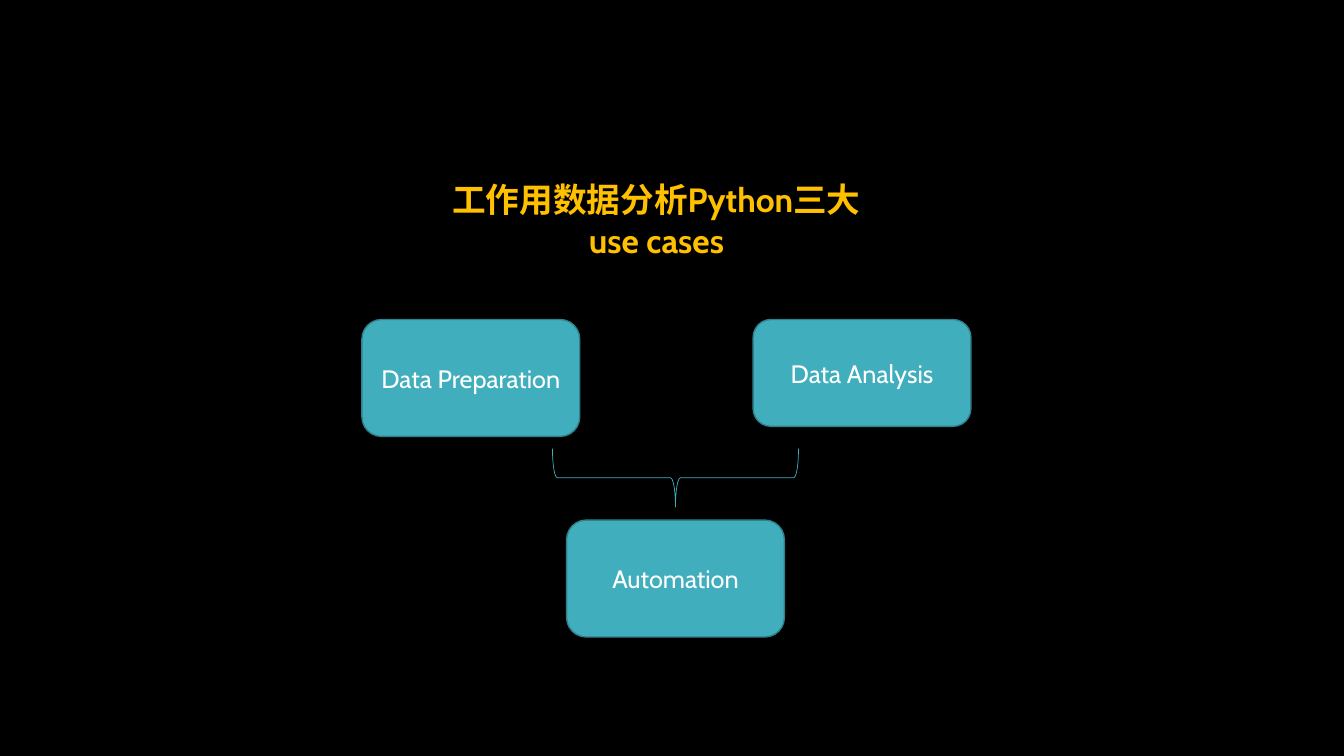
from pptx import Presentation
from pptx.dml.color import RGBColor
from pptx.enum.shapes import MSO_SHAPE
from pptx.enum.text import MSO_ANCHOR, MSO_AUTO_SIZE, PP_ALIGN
from pptx.util import Inches, Pt

TEAL = "41AEBD"


def color(value):
    return RGBColor.from_string(value)


def write(tf, text, hex_color, font):
    tf.word_wrap = True
    p = tf.paragraphs[0]
    p.alignment = PP_ALIGN.CENTER
    r = p.add_run()
    r.text = text
    r.font.color.rgb = color(hex_color)
    for name, value in font.items():
        setattr(r.font, name, value)


prs = Presentation()
prs.slide_width = Inches(13.33)
prs.slide_height = Inches(7.5)
s = prs.slides.add_slide(prs.slide_layouts[6])
s.background.fill.solid()
s.background.fill.fore_color.rgb = color("000000")

title = s.shapes.add_textbox(Inches(4.17), Inches(1.73), Inches(4.68), Inches(0.91))
write(title.text_frame, "工作用数据分析Python三大use cases", "FFC000",
      {"name": "Cabin", "size": Pt(24), "bold": True})
title.text_frame.auto_size = MSO_AUTO_SIZE.SHAPE_TO_FIT_TEXT

use_cases = [
    ("Data Preparation", 3.59, 3.17, 1.16),
    ("Data Analysis", 7.47, 3.17, 1.06),
    ("Automation", 5.62, 5.16, 1.16),
]
for text, left, top, height in use_cases:
    sp = s.shapes.add_shape(MSO_SHAPE.FLOWCHART_ALTERNATE_PROCESS,
                            Inches(left), Inches(top), Inches(2.16), Inches(height))
    sp.shadow.inherit = False
    sp.fill.solid()
    sp.fill.fore_color.rgb = color(TEAL)
    sp.line.color.rgb = color("30818C")
    sp.line.width = Pt(1)
    sp.text_frame.vertical_anchor = MSO_ANCHOR.MIDDLE
    write(sp.text_frame, text, "FFFFFF", {"name": "Cabin", "size": Pt(18)})

brace = s.shapes.add_shape(MSO_SHAPE.LEFT_BRACE,
                           Inches(6.41), Inches(3.52), Inches(0.58), Inches(2.44))
brace.rotation = 270
brace.shadow.inherit = False
brace.fill.background()
brace.line.color.rgb = color(TEAL)
brace.line.width = Pt(0.5)

prs.save("out.pptx")
